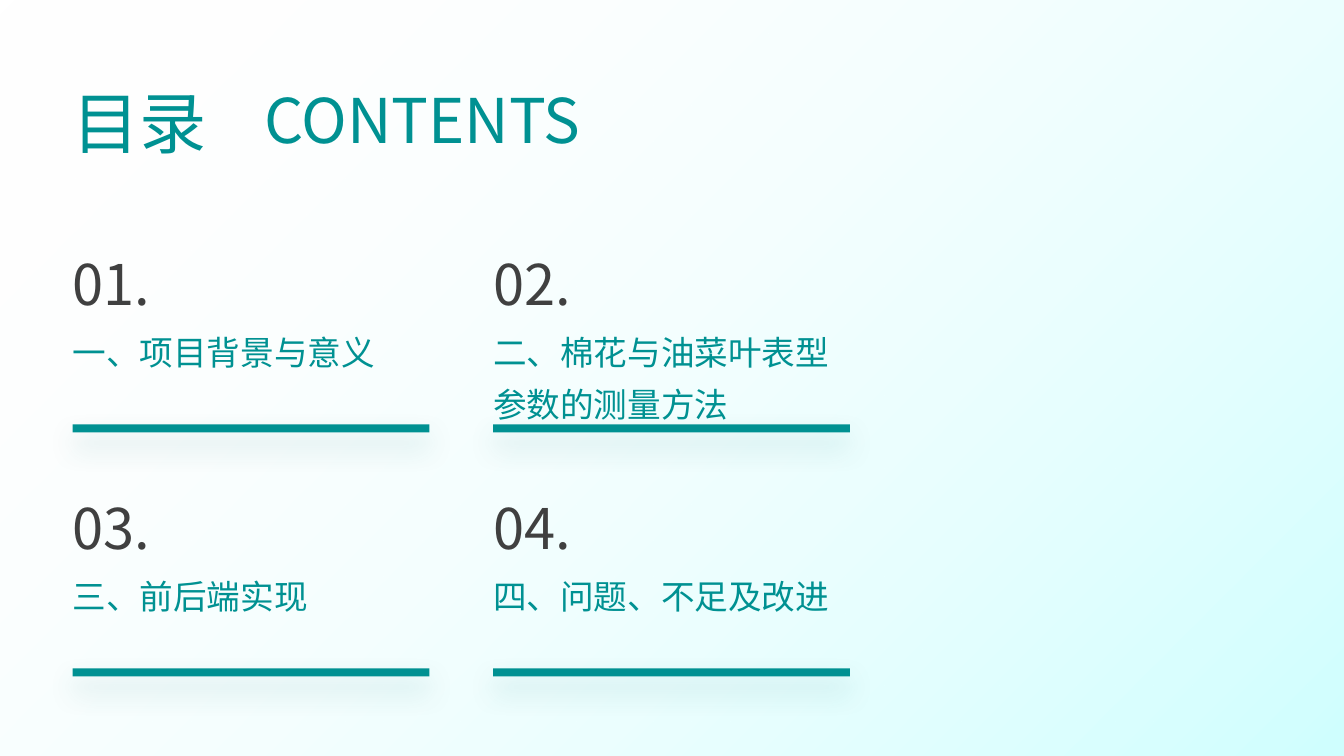
from lxml.etree import SubElement
from pptx import Presentation
from pptx.dml.color import RGBColor
from pptx.enum.shapes import MSO_SHAPE
from pptx.enum.text import MSO_ANCHOR
from pptx.oxml.ns import qn
from pptx.util import Inches, Pt

FONT = "Noto Sans CJK SC"
TEAL = RGBColor(0x00, 0x91, 0x92)
GREY = RGBColor(0x40, 0x40, 0x40)
WHITE = RGBColor(0xFF, 0xFF, 0xFF)
AQUA = RGBColor(0xB6, 0xFF, 0xFF)
SHADOW = RGBColor(0x00, 0x6D, 0x6E)

# Each heading: left, width, runs of (text, size)
HEADINGS = [
    (0.72, 1.69, [("目录", 48), (" ", 54)]),
    (2.62, 5.13, [("CONTENTS", 44)]),
]
CHAPTERS = [
    "一、项目背景与意义",
    "二、棉花与油菜叶表型参数的测量方法",
    "三、前后端实现",
    "四、问题、不足及改进",
]

SLIDE_W, SLIDE_H = 13.33, 7.5
HEADING_TOP, HEADING_H = 0.72, 0.91
COLUMNS = 2
GRID_LEFT, GRID_TOP = 0.72, 2.48
COLUMN_STEP, ROW_STEP = 4.17, 2.42
CARD_W = 3.54
NUMBER_H, CHAPTER_H, BAR_H = 0.64, 1, 0.08
CHAPTER_DY, BAR_DY = 0.69, 1.73


def add_text(slide, runs, left, top, width, height, *, color,
             anchor=MSO_ANCHOR.TOP, spacing=None):
    """Add a text box with one paragraph made of (text, size) runs."""
    box = slide.shapes.add_textbox(*map(Inches, (left, top, width, height)))
    tf = box.text_frame
    tf.word_wrap = True
    tf.vertical_anchor = anchor
    tf.margin_left = tf.margin_right = tf.margin_top = tf.margin_bottom = 0
    p = tf.paragraphs[0]
    if spacing:
        p.line_spacing = spacing
    for text, size in runs:
        r = p.add_run()
        r.text = text
        r.font.size = Pt(size)
        r.font.name = FONT
        r.font.color.rgb = color
        SubElement(r.font._element, qn("a:ea"), typeface=FONT)


def add_rect(slide, left, top, width, height):
    sp = slide.shapes.add_shape(
        MSO_SHAPE.RECTANGLE, *map(Inches, (left, top, width, height)))
    sp.shadow.inherit = False
    sp.line.fill.background()
    return sp


def set_opacity(color, percent):
    SubElement(color, qn("a:alpha"), val=str(percent * 1000))


def add_background(slide):
    sp = add_rect(slide, -0.01, -0.02, SLIDE_W + 0.02, SLIDE_H + 0.04)
    sp.fill.gradient()
    sp.fill.gradient_angle = 315
    for stop, color in zip(sp.fill.gradient_stops, (WHITE, AQUA)):
        stop.color.rgb = color
    for color, percent in zip(sp._element.spPr.iter(qn("a:srgbClr")), (0, 65)):
        set_opacity(color, percent)


def add_bar(slide, left, top):
    """Add a teal rule with a soft shadow below it."""
    sp = add_rect(slide, left, top, CARD_W, BAR_H)
    sp.fill.solid()
    sp.fill.fore_color.rgb = TEAL
    effects = sp._element.spPr.find(qn("a:effectLst"))
    shadow = SubElement(
        effects, qn("a:outerShdw"), blurRad=str(Pt(20)), dist=str(Pt(10)),
        dir=str(90 * 60000), algn="t", rotWithShape="0")
    set_opacity(SubElement(shadow, qn("a:srgbClr"), val=str(SHADOW)), 20)


def add_card(slide, index, chapter):
    row, column = divmod(index, COLUMNS)
    left = GRID_LEFT + column * COLUMN_STEP
    top = GRID_TOP + row * ROW_STEP
    add_text(slide, [(chapter, 24)], left, top + CHAPTER_DY, CARD_W, CHAPTER_H,
             color=TEAL, spacing=1.3)
    add_text(slide, [(f"{index + 1:02}.", 40)], left, top, CARD_W, NUMBER_H,
             color=GREY)
    add_bar(slide, left, top + BAR_DY)


def main():
    prs = Presentation()
    prs.slide_width, prs.slide_height = Inches(SLIDE_W), Inches(SLIDE_H)
    slide = prs.slides.add_slide(prs.slide_layouts[6])
    add_background(slide)
    for index, chapter in enumerate(CHAPTERS):
        add_card(slide, index, chapter)
    for left, width, runs in HEADINGS:
        add_text(slide, runs, left, HEADING_TOP, width, HEADING_H,
                 color=TEAL, anchor=MSO_ANCHOR.MIDDLE)
    prs.save("out.pptx")


if __name__ == "__main__":
    main()
